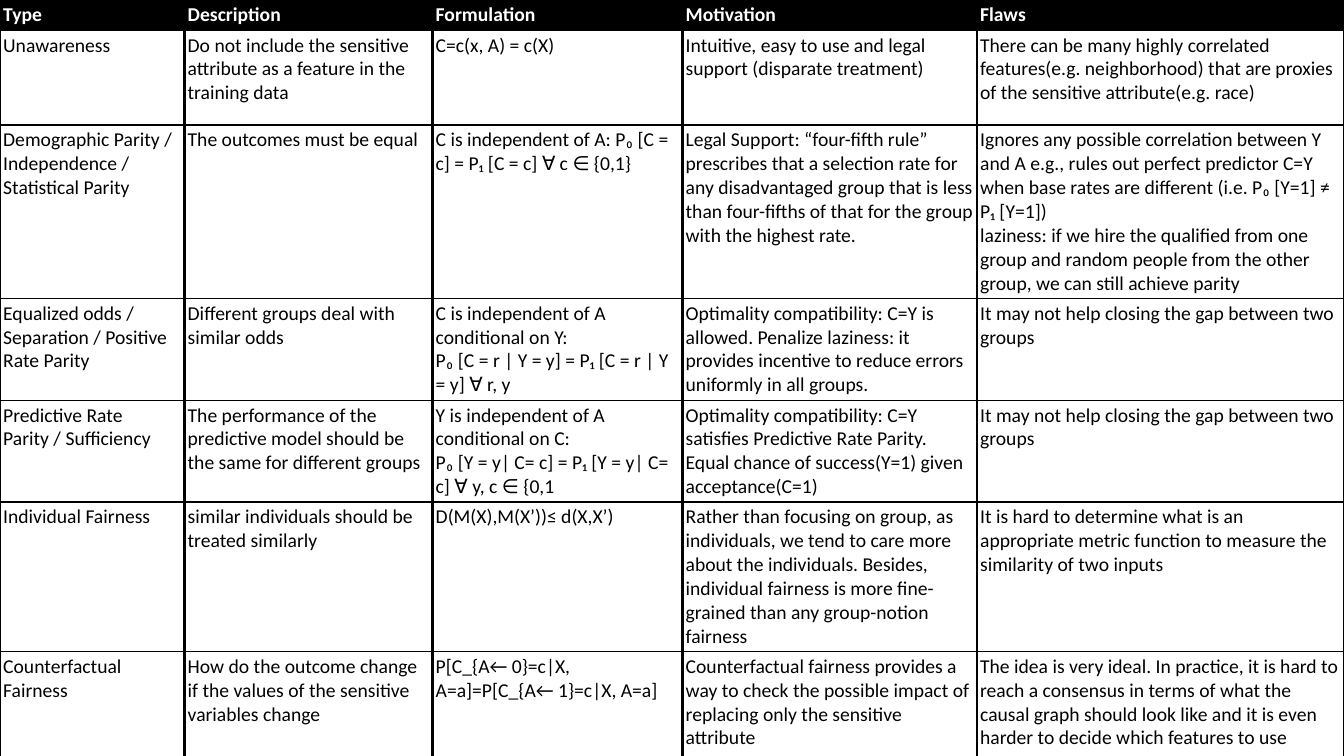
from lxml.etree import SubElement
from pptx import Presentation
from pptx.dml.color import RGBColor
from pptx.oxml.ns import qn
from pptx.util import Cm, Pt

HEADINGS = ("Type", "Description", "Formulation", "Motivation", "Flaws")
MEASURES = [
    ("Unawareness",
     "Do not include the sensitive attribute as a feature in the training data",
     "C=c(x, A) = c(X)",
     "Intuitive, easy to use and legal support (disparate treatment)",
     "There can be many highly correlated features(e.g. neighborhood) that are proxies "
     "of the sensitive attribute(e.g. race)"),
    ("Demographic Parity / Independence / Statistical Parity",
     "The outcomes must be equal",
     "C is independent of A: P₀ [C = c] = P₁ [C = c] ∀ c ∈ {0,1}",
     "Legal Support: “four-fifth rule” prescribes that a selection rate for any "
     "disadvantaged group that is less than four-fifths of that for the group with "
     "the highest rate.",
     "Ignores any possible correlation between Y and A e.g., rules out perfect predictor "
     "C=Y when base rates are different (i.e. P₀ [Y=1] ≠ P₁ [Y=1])\n"
     "laziness: if we hire the qualified from one group and random people from the other "
     "group, we can still achieve parity"),
    ("Equalized odds / Separation / Positive Rate Parity",
     "Different groups deal with similar odds",
     "C is independent of A conditional on Y:\n"
     "P₀ [C = r | Y = y] = P₁ [C = r | Y = y] ∀ r, y",
     "Optimality compatibility: C=Y is allowed. Penalize laziness: it provides incentive "
     "to reduce errors uniformly in all groups.",
     "It may not help closing the gap between two groups"),
    ("Predictive Rate Parity / Sufficiency",
     "The performance of the predictive model should be the same for different groups",
     "Y is independent of A conditional on C:\n"
     "P₀ [Y = y| C= c] = P₁ [Y = y| C= c] ∀ y, c ∈ {0,1",
     "Optimality compatibility: C=Y satisfies Predictive Rate Parity.\n"
     "Equal chance of success(Y=1) given acceptance(C=1)",
     "It may not help closing the gap between two groups"),
    ("Individual Fairness",
     "similar individuals should be treated similarly",
     "D(M(X),M(X’))≤ d(X,X’)",
     "Rather than focusing on group, as individuals, we tend to care more about the "
     "individuals. Besides, individual fairness is more fine-grained than any "
     "group-notion fairness",
     "It is hard to determine what is an appropriate metric function to measure the "
     "similarity of two inputs"),
    ("Counterfactual Fairness",
     "How do the outcome change if the values of the sensitive variables change",
     "P[C_{A← 0}=c|X, A=a]=P[C_{A← 1}=c|X, A=a]",
     "Counterfactual fairness provides a way to check the possible impact of replacing "
     "only the sensitive attribute",
     "The idea is very ideal. In practice, it is hard to reach a consensus in terms of "
     "what the causal graph should look like and it is even harder to decide which "
     "features to use"),
]
COLUMN_WIDTHS = (4.65, 6.25, 6.3, 7.42, 9.25)
ROW_HEIGHTS = (0.71, 2.39, 4.27, 2.49, 2.49, 3.68, 2.97)
BLACK, WHITE = "000000", "FFFFFF"
INSET = Cm(0.08)


def color(code):
    return RGBColor.from_string(code)


def write(cell, text, size=14, font="Calibri", ink=BLACK, bold=False):
    cell.margin_left = cell.margin_right = INSET
    cell.margin_top = cell.margin_bottom = INSET
    para = cell.text_frame.paragraphs[0]
    para.text = text
    for span in para.runs:
        span.font.size = Pt(size)
        span.font.name = font
        span.font.bold = bold
        span.font.color.rgb = color(ink)
    for line_break in para._p.findall(qn("a:br")):
        SubElement(line_break, qn("a:rPr"), sz=str(size * 100))


def draw_borders(cell, **widths):
    properties = cell._tc.get_or_add_tcPr()
    for side in "LRTB":
        line = SubElement(properties, qn(f"a:ln{side}"), w=str(Pt(widths[side])))
        fill = SubElement(line, qn("a:solidFill"))
        SubElement(fill, qn("a:srgbClr"), val=BLACK)


def main():
    deck = Presentation()
    deck.slide_width, deck.slide_height = Cm(33.87), Cm(19.05)
    page = deck.slides.add_slide(deck.slide_layouts[6])

    rows = [HEADINGS, *MEASURES]
    last = len(HEADINGS) - 1
    table = page.shapes.add_table(
        len(rows), len(HEADINGS), Cm(0), Cm(0),
        Cm(sum(COLUMN_WIDTHS)), Cm(sum(ROW_HEIGHTS))).table
    table.first_row = table.horz_banding = False
    for column, width in zip(table.columns, COLUMN_WIDTHS):
        column.width = Cm(width)
    for row, height in zip(table.rows, ROW_HEIGHTS):
        row.height = Cm(height)

    for row_index, texts in enumerate(rows):
        heading = row_index == 0
        for column_index, text in enumerate(texts):
            cell = table.cell(row_index, column_index)
            write(cell, text, ink=WHITE if heading else BLACK, bold=heading)
            draw_borders(cell, L=2 if column_index > 0 else 1,
                         R=2 if column_index < last else 1, T=1, B=1)
            if heading:
                cell.fill.solid()
                cell.fill.fore_color.rgb = color(BLACK)
            else:
                cell.fill.background()

    deck.save("out.pptx")


if __name__ == "__main__":
    main()
